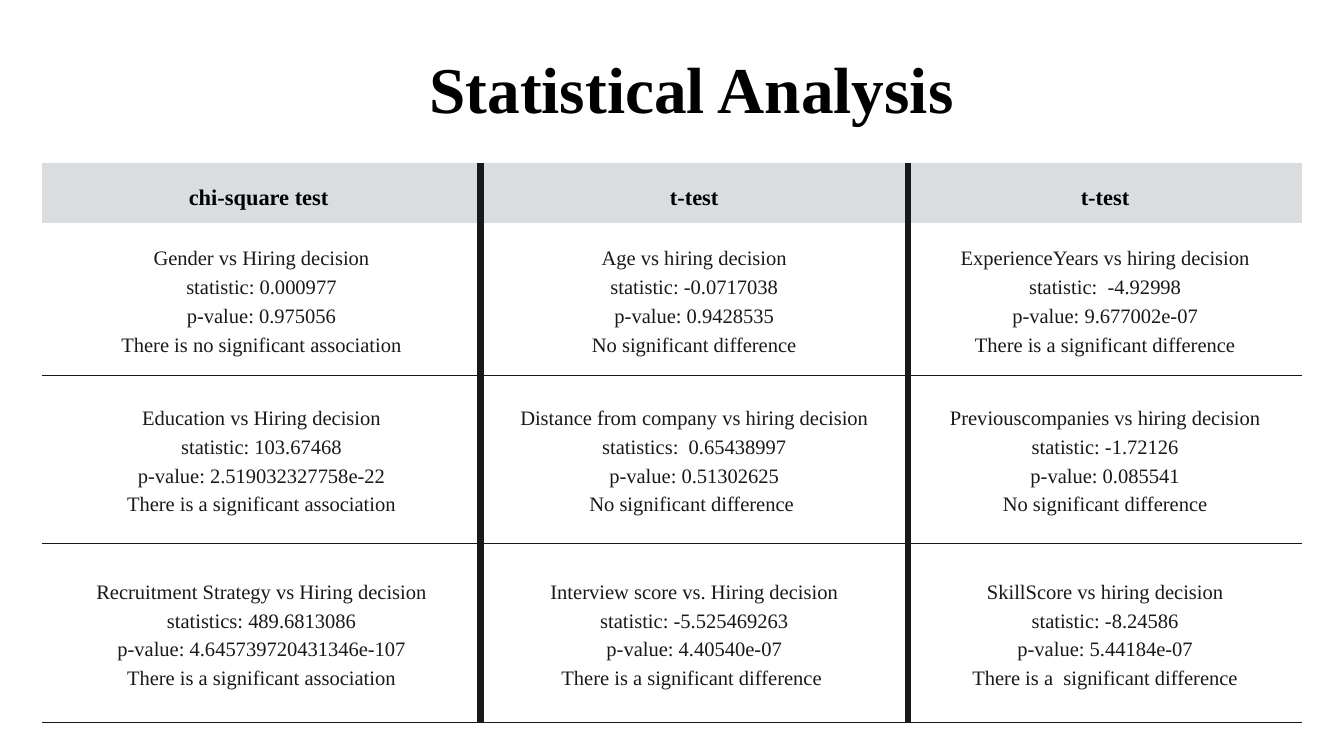
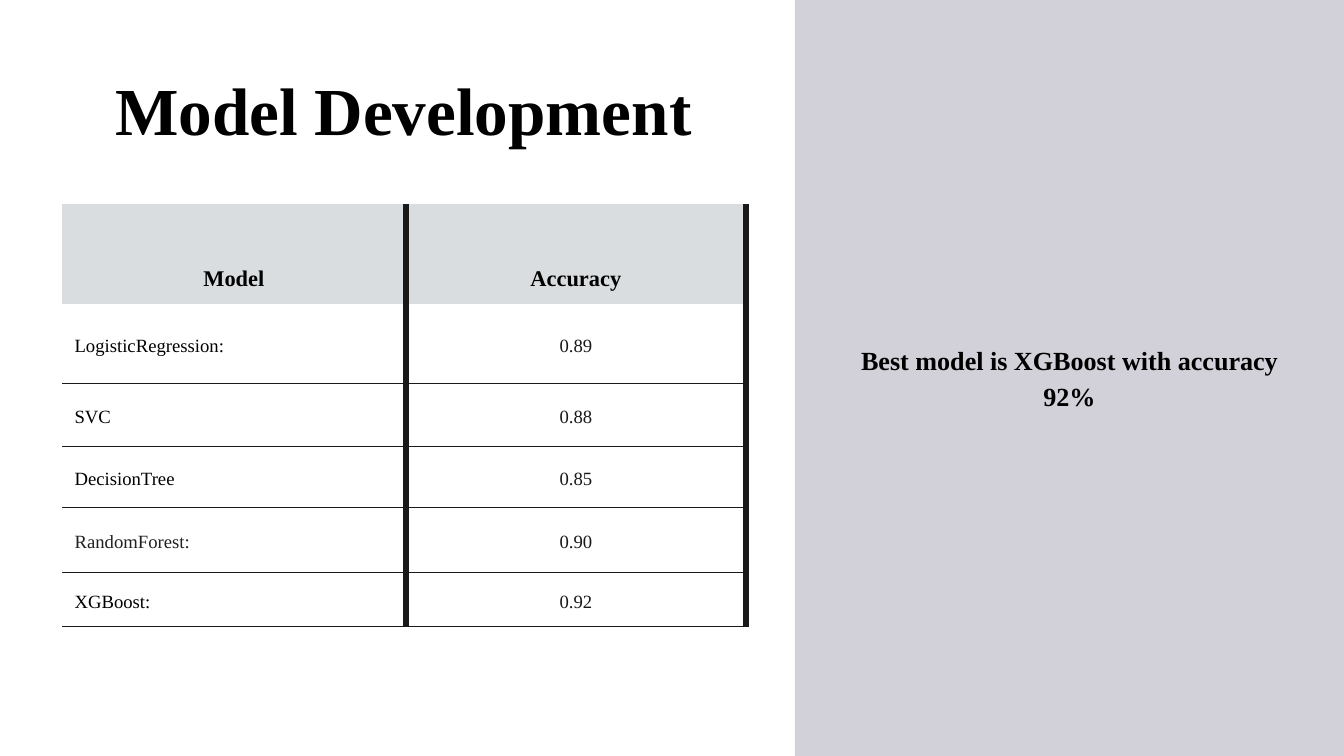
from lxml import etree
from pptx import Presentation
from pptx.dml.color import RGBColor
from pptx.enum.shapes import MSO_SHAPE
from pptx.enum.text import MSO_ANCHOR, PP_ALIGN
from pptx.oxml.ns import qn
from pptx.util import Inches, Pt

COLORS = {
    "text": "000000",
    "ink": "191919",
    "soft": "212121",
    "header": "DADDE0",
    "body": "FFFFFF",
    "panel": "D2D1D9",
}
FONT = "Times New Roman"
CELL_MARGIN = Inches(0.19)
RULE, DIVIDER = Pt(0.75), Pt(7.5)


def write_text(text_frame, text, size, spacing, color="text", bold=False, align=PP_ALIGN.CENTER):
    text_frame.text = text
    text_frame.word_wrap = True
    for paragraph in text_frame.paragraphs:
        paragraph.alignment = align
        paragraph.line_spacing = Pt(spacing)
        for run in paragraph.runs:
            run.font.name = FONT
            run.font.size = Pt(size)
            run.font.bold = bold
            run.font.color.rgb = RGBColor.from_string(COLORS[color])


def style_cell(cell, fill, anchor, borders):
    """Set fill, margins and the borders, given as widths by side (0 for none)."""
    cell.fill.solid()
    cell.fill.fore_color.rgb = RGBColor.from_string(COLORS[fill])
    cell.vertical_anchor = anchor
    cell.margin_left = cell.margin_right = CELL_MARGIN
    cell.margin_top = cell.margin_bottom = CELL_MARGIN
    properties = cell._tc.get_or_add_tcPr()
    for index, side in enumerate("LRTB"):
        width = borders[side]
        line = etree.Element(qn(f"a:ln{side}"), w=str(int(width)))
        if width:
            solid = etree.SubElement(line, qn("a:solidFill"))
            etree.SubElement(solid, qn("a:srgbClr"), val=COLORS["ink"])
        else:
            etree.SubElement(line, qn("a:noFill"))
        properties.insert(index, line)


presentation = Presentation()
presentation.slide_width = Inches(20)
presentation.slide_height = Inches(11.25)

tests = [
    ["chi-square test ", "t-test", "t-test"],
    [
        "Gender vs Hiring decision\nstatistic: 0.000977\n"
        "p-value: 0.975056\nThere is no significant association",
        "Age vs hiring decision\nstatistic: -0.0717038\n"
        "p-value: 0.9428535\nNo significant difference",
        "ExperienceYears vs hiring decision\nstatistic:  -4.92998\n"
        "p-value: 9.677002e-07\nThere is a significant difference",
    ],
    [
        "Education vs Hiring decision\nstatistic: 103.67468\n"
        "p-value: 2.519032327758e-22\nThere is a significant association",
        "Distance from company vs hiring decision\nstatistics:  0.65438997\n"
        "p-value: 0.51302625\nNo significant difference ",
        "Previouscompanies vs hiring decision\nstatistic: -1.72126\n"
        "p-value: 0.085541\nNo significant difference",
    ],
    [
        "Recruitment Strategy vs Hiring decision\nstatistics: 489.6813086\n"
        "p-value: 4.645739720431346e-107\nThere is a significant association",
        "Interview score vs. Hiring decision\nstatistic: -5.525469263\n"
        "p-value: 4.40540e-07\nThere is a significant difference ",
        "SkillScore vs hiring decision\nstatistic: -8.24586\n"
        "p-value: 5.44184e-07\nThere is a  significant difference",
    ],
]
models = [
    ["Model", "Accuracy"],
    ["LogisticRegression:", "0.89"],
    ["SVC", "0.88"],
    ["DecisionTree", "0.85"],
    ["RandomForest:", "0.90"],
    ["XGBoost:", "0.92"],
]

pages = [
    {
        "title": ("Statistical Analysis", (4.08, 0.82, 12.42, 1.24), 70, 77),
        "rows": tests,
        "corner": (0.63, 2.43),
        "widths": [6.52, 6.36, 5.87],
        "heights": [0.89, 2.26, 2.5, 2.67],
        "body_size": 22,
        "right_edge": 0,
        "row_labels": False,
    },
    {
        "title": ("Model Development", (0.58, 0.82, 10.85, 1.5), 72, 100.8),
        "rows": models,
        "corner": (0.92, 3.03),
        "widths": [5.12, 5.06],
        "heights": [1.49, 1.19, 0.93, 0.91, 0.96, 0.81],
        "body_size": 20,
        "right_edge": DIVIDER,
        "row_labels": True,
    },
]

for page in pages:
    slide = presentation.slides.add_slide(presentation.slide_layouts[6])
    rows, widths, heights = page["rows"], page["widths"], page["heights"]
    left, top = page["corner"]
    table = slide.shapes.add_table(
        len(rows), len(widths), Inches(left), Inches(top),
        Inches(sum(widths)), Inches(sum(heights)),
    ).table
    table.horz_banding = False
    for column, width in zip(table.columns, widths):
        column.width = Inches(width)
    for row, height in zip(table.rows, heights):
        row.height = Inches(height)

    for r, texts in enumerate(rows):
        for c, text in enumerate(texts):
            cell = table.cell(r, c)
            is_header = r == 0
            borders = {
                "L": DIVIDER if c else 0,
                "R": DIVIDER if c < len(widths) - 1 else page["right_edge"],
                "T": RULE if r > 1 else 0,
                "B": 0 if is_header else RULE,
            }
            if is_header:
                style_cell(cell, "header", MSO_ANCHOR.BOTTOM, borders)
                write_text(cell.text_frame, text, 24, 33.6, bold=True)
                continue
            style_cell(cell, "body", MSO_ANCHOR.MIDDLE, borders)
            color, align = "ink", PP_ALIGN.CENTER
            if page["row_labels"] and c == 0:
                color = "soft" if text == "RandomForest:" else "text"
                align = PP_ALIGN.LEFT
            size = page["body_size"]
            write_text(cell.text_frame, text, size, size * 1.4, color, align=align)

    captions = [page["title"]]
    if page["row_labels"]:
        panel = slide.shapes.add_shape(
            MSO_SHAPE.RECTANGLE, Inches(11.83), 0, Inches(8.17), presentation.slide_height
        )
        panel.shadow.inherit = False
        panel.fill.solid()
        panel.fill.fore_color.rgb = RGBColor.from_string(COLORS["panel"])
        panel.line.fill.background()
        captions.append(
            ("Best model is XGBoost with accuracy 92%", (12.48, 5.04, 6.87, 0.59), 28, 39.2)
        )

    for text, box, size, spacing in captions:
        text_frame = slide.shapes.add_textbox(*map(Inches, box)).text_frame
        text_frame.margin_left = text_frame.margin_right = 0
        text_frame.margin_top = text_frame.margin_bottom = 0
        write_text(text_frame, text, size, spacing, bold=True)

presentation.save("out.pptx")
